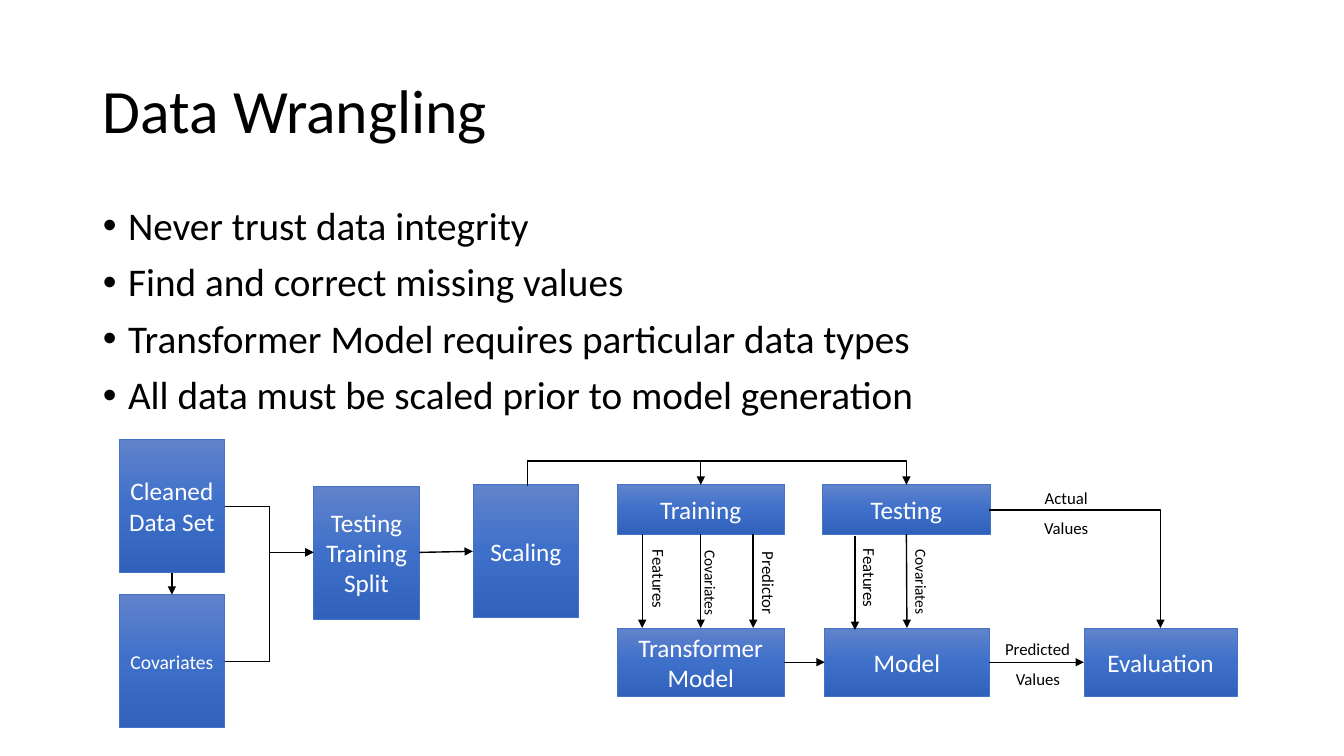
from copy import deepcopy
from dataclasses import dataclass

from lxml.etree import SubElement
from pptx import Presentation
from pptx.dml.color import RGBColor
from pptx.enum.shapes import MSO_CONNECTOR, MSO_SHAPE
from pptx.enum.text import MSO_ANCHOR, MSO_AUTO_SIZE, PP_ALIGN
from pptx.oxml.ns import qn
from pptx.util import Pt

EMU_PER_PX = 9144
TOP, LEFT, BOTTOM, RIGHT = range(4)


@dataclass(frozen=True)
class Theme:
    font: str = "Calibri"
    ink: str = "000000"
    box_text: str = "FFFFFF"
    box_line: str = "4472C4"
    box_gradient: tuple = ((0, "6183CB"), (0.5, "3E70CA"), (1, "3062BB"))
    title_size: int = 44
    list_size: int = 28
    box_size: int = 18
    small_box_size: int = 14
    label_size: int = 12
    small_label_size: int = 11
    thin: float = 0.5
    regular: float = 1


def px(length):
    return round(length * EMU_PER_PX)


class FlowSlide:
    def __init__(self, slide, theme):
        self.slide = slide
        self.theme = theme

    def style(self, paragraph, size, color, align):
        paragraph.alignment = align
        font = paragraph.font
        font.name, font.size = self.theme.font, Pt(size)
        font.color.rgb = RGBColor.from_string(color)

    def place(self, shape, left, top, width, height):
        shape.left, shape.top = px(left), px(top)
        shape.width, shape.height = px(width), px(height)

    def title(self, text, *bounds):
        heading = self.slide.shapes.title
        self.place(heading, *bounds)
        frame = heading.text_frame
        frame.text = text
        frame.vertical_anchor = MSO_ANCHOR.MIDDLE
        frame.auto_size = MSO_AUTO_SIZE.NONE
        line = frame.paragraphs[0]
        self.style(line, self.theme.title_size, self.theme.ink, PP_ALIGN.LEFT)
        line.line_spacing = 0.9

    def bullets(self, items, *bounds):
        body = self.slide.placeholders[1]
        self.place(body, *bounds)
        frame = body.text_frame
        frame.text = "\n".join(items)
        frame.auto_size = MSO_AUTO_SIZE.NONE
        for item in frame.paragraphs:
            self.style(item, self.theme.list_size, self.theme.ink, PP_ALIGN.LEFT)
            item.line_spacing = 0.9
            item.space_before = Pt(10)
            properties = item._p.get_or_add_pPr()
            properties.set("marL", str(px(25)))
            properties.set("indent", str(px(-25)))
            SubElement(properties, qn("a:buFont")).set("typeface", "Arial")
            SubElement(properties, qn("a:buChar")).set("char", "•")

    def box(self, text, left, top, width, height, size=None):
        step = self.slide.shapes.add_shape(
            MSO_SHAPE.RECTANGLE, px(left), px(top), px(width), px(height))
        step.shadow.inherit = False
        step.fill.gradient()
        step.fill.gradient_angle = 270
        stops = step._element.spPr.find(".//" + qn("a:gsLst"))
        stops.insert(1, deepcopy(stops[0]))
        for stop, (position, color) in zip(step.fill.gradient_stops,
                                           self.theme.box_gradient):
            stop.position = position
            stop.color.rgb = RGBColor.from_string(color)
        step.line.color.rgb = RGBColor.from_string(self.theme.box_line)
        step.line.width = Pt(self.theme.thin)
        frame = step.text_frame
        frame.text = text
        frame.word_wrap = True
        frame.vertical_anchor = MSO_ANCHOR.MIDDLE
        self.style(frame.paragraphs[0], size or self.theme.box_size,
                   self.theme.box_text, PP_ALIGN.CENTER)
        return step

    def label(self, lines, left, top, height, size=None, turn=0,
              align=PP_ALIGN.LEFT):
        caption = self.slide.shapes.add_textbox(
            px(left), px(top), px(85), px(height))
        caption.rotation = turn
        frame = caption.text_frame
        frame.text = "\n".join(lines)
        frame.word_wrap = True
        frame.auto_size = MSO_AUTO_SIZE.SHAPE_TO_FIT_TEXT
        for line in frame.paragraphs:
            self.style(line, size or self.theme.label_size, self.theme.ink, align)
        for line in frame.paragraphs[1:]:
            line.alignment = PP_ALIGN.CENTER
            line.line_spacing = 1.5

    def arrow(self, x1, y1, x2, y2, kind=MSO_CONNECTOR.STRAIGHT, weight=None):
        link = self.slide.shapes.add_connector(
            kind, px(x1), px(y1), px(x2), px(y2))
        link.line.color.rgb = RGBColor.from_string(self.theme.ink)
        link.line.width = Pt(weight or self.theme.regular)
        SubElement(link.line._get_or_add_ln(), qn("a:tailEnd")).set(
            "type", "triangle")
        SubElement(link._element.spPr, qn("a:effectLst"))
        return link

    def join(self, source, source_side, target, target_side):
        link = self.arrow(0, 0, 0, 0)
        link.begin_connect(source, source_side)
        link.end_connect(target, target_side)

    def corner(self, x1, y1, x2, y2):
        """Draw an arrow that runs sideways and then turns once."""
        link = self.arrow(x1, y1, x2, y2, MSO_CONNECTOR.ELBOW)
        link._element.spPr.find(qn("a:prstGeom")).set("prst", "bentConnector2")

    def bridge(self, x1, y1, x2, y2, rise):
        """Draw an arrow that goes up by rise, across, and down to its end."""
        across, drop = x2 - x1, y1 - y2
        mid_x, mid_y = (x1 + x2) / 2, (y1 + y2) / 2
        link = self.arrow(mid_x + drop / 2, mid_y + across / 2,
                          mid_x - drop / 2, mid_y - across / 2,
                          MSO_CONNECTOR.ELBOW)
        properties = link._element.spPr
        properties.find(qn("a:xfrm")).set("rot", str(90 * 60000))
        guide = SubElement(properties.find(".//" + qn("a:avLst")), qn("a:gd"))
        guide.set("name", "adj1")
        guide.set("fmla", f"val {round(rise / drop * 100000)}")


def main():
    deck = Presentation()
    deck.slide_width, deck.slide_height = px(1333), px(750)
    theme = Theme()
    flow = FlowSlide(deck.slides.add_slide(deck.slide_layouts[1]), theme)

    flow.title("Data Wrangling", 92, 40, 1150, 145)
    flow.bullets(["Never trust data integrity",
                  "Find and correct missing values",
                  "Transformer Model requires particular data types",
                  "All data must be scaled prior to model generation"],
                 92, 200, 1150, 239)

    cleaned = flow.box("Cleaned Data Set", 118, 436, 105, 132)
    covariates = flow.box("Covariates", 118, 590, 105, 132, theme.small_box_size)
    split = flow.box("Testing Training Split", 311, 482, 105, 132)
    scaling = flow.box("Scaling", 469, 481, 105, 132)
    training = flow.box("Training", 612, 481, 166, 49)
    testing = flow.box("Testing", 816, 481, 166, 49)
    transformer = flow.box("Transformer Model", 612, 623, 166, 68)
    model = flow.box("Model", 818, 623, 163, 68)
    evaluation = flow.box("Evaluation", 1075, 623, 152, 68)

    for source, source_side, target, target_side in (
            (cleaned, BOTTOM, covariates, TOP),
            (split, RIGHT, scaling, LEFT),
            (training, BOTTOM, transformer, TOP),
            (testing, BOTTOM, model, TOP),
            (transformer, RIGHT, model, LEFT),
            (model, RIGHT, evaluation, LEFT)):
        flow.join(source, source_side, target, target_side)

    for x, top in ((637, 530), (747, 530), (848, 532)):
        flow.arrow(x, top, x, top + 93)
    for y in (502, 656):
        flow.arrow(223, y, 311, 548, MSO_CONNECTOR.ELBOW, theme.thin)
    for x in (695, 899):
        flow.bridge(523, 482, x, 481, 25)
    flow.corner(981, 506, 1151, 623)

    flow.label(["Actual", "Values"], 1015, 479, 57, align=PP_ALIGN.CENTER)
    flow.label(["Predicted", "Values"], 987, 629, 57)
    for text, left, top in (("Features", 611, 563), ("Predictor", 720, 565),
                            ("Features", 820, 562)):
        flow.label([text], left, top, 30, turn=90)
    for left, top in ((662, 564), (871, 563)):
        flow.label(["Covariates"], left, top, 29, theme.small_label_size, 90)

    deck.save("out.pptx")


if __name__ == "__main__":
    main()
